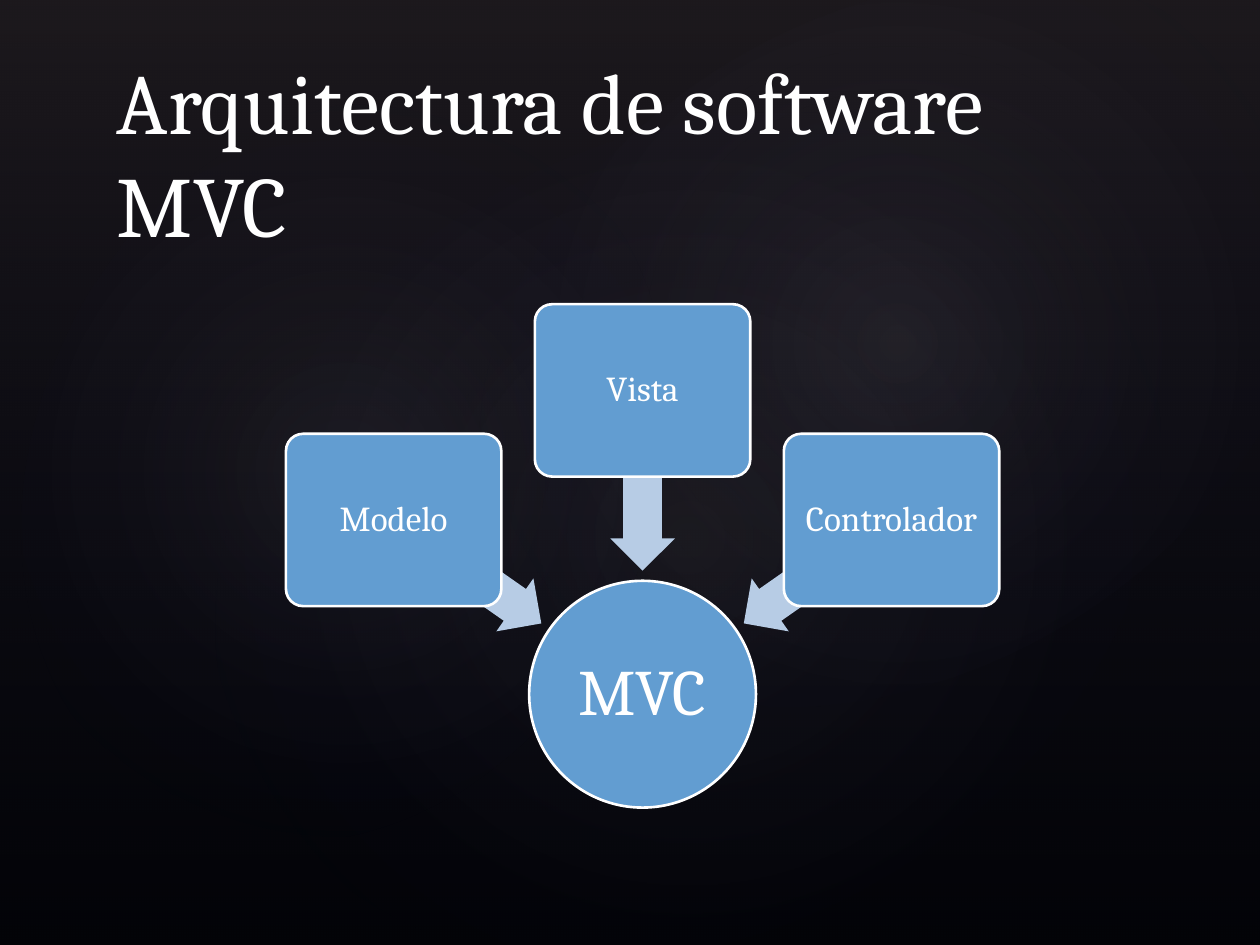
import math

from lxml import etree
from pptx import Presentation
from pptx.dml.color import RGBColor
from pptx.enum.shapes import MSO_SHAPE
from pptx.enum.text import MSO_ANCHOR, PP_ALIGN
from pptx.oxml import parse_xml
from pptx.oxml.ns import nsdecls, qn
from pptx.util import Inches, Pt

RECT, OVAL = MSO_SHAPE.RECTANGLE, MSO_SHAPE.OVAL
CARD, ARROW = MSO_SHAPE.ROUNDED_RECTANGLE, MSO_SHAPE.LEFT_ARROW
MIDDLE, BOTTOM, CENTER = MSO_ANCHOR.MIDDLE, MSO_ANCHOR.BOTTOM, PP_ALIGN.CENTER

SLIDE_W, SLIDE_H = 10, 7.5
FONT = "Cambria"
COLORS = {
    "base": "000000", "haze": "504652", "navy": "242852", "glow": "C4BCC6",
    "node": "629DD1", "arrow": "B7CCE5", "white": "FFFFFF",
}


def rgb(name):
    return RGBColor.from_string(COLORS[name])


def add_part(slide, kind, box, fill=None, outlined=False):
    part = slide.shapes.add_shape(kind, *(Inches(v) for v in box))
    part.shadow.inherit = False
    if fill:
        part.fill.solid()
        part.fill.fore_color.rgb = rgb(fill)
    else:
        part.fill.background()
    if outlined:
        part.line.color.rgb = rgb("white")
        part.line.width = Pt(1.5)
    else:
        part.line.fill.background()
    return part


def centered(cx, cy, width, height):
    return cx - width / 2, cy - height / 2, width, height


def set_gradient(part, stops, direction):
    """Stops are (position %, colour name, opacity %)."""
    grad = parse_xml(f'<a:gradFill {nsdecls("a")} rotWithShape="1"><a:gsLst/></a:gradFill>')
    for position, name, opacity in stops:
        stop = etree.SubElement(grad[0], qn("a:gs"), pos=str(position * 1000))
        color = etree.SubElement(stop, qn("a:srgbClr"), val=COLORS[name])
        etree.SubElement(color, qn("a:alpha"), val=str(opacity * 1000))
    grad.append(direction)
    sp_pr = part._element.spPr
    sp_pr.replace(sp_pr.find(qn("a:noFill")), grad)


def write(frame, text, size, anchor, align=None):
    frame.word_wrap = True
    frame.vertical_anchor = anchor
    paragraph = frame.paragraphs[0]
    paragraph.text = text
    paragraph.alignment = align
    paragraph.font.name = FONT
    paragraph.font.size = Pt(size)
    paragraph.font.color.rgb = rgb("white")
    return paragraph


def write_label(node, text, size, inset):
    frame = node.text_frame
    frame.margin_left = frame.margin_right = Inches(inset)
    frame.margin_top = frame.margin_bottom = Inches(inset)
    write(frame, text, size, MIDDLE, CENTER).line_spacing = 0.9


def draw_background(slide, box):
    left, top, width, height = box
    slide.background.fill.solid()
    slide.background.fill.fore_color.rgb = rgb("base")

    # Haze fading downwards
    haze = add_part(slide, RECT, box)
    set_gradient(haze, [(0, "haze", 36), (100, "navy", 10)],
                 parse_xml(f'<a:lin {nsdecls("a")} ang="5400000" scaled="0"/>'))

    # Soft glows: x, y, width, height as shares of the box, rotation, opacity
    for x, y, w, h, rotation, opacity in [
        (0.15, 0.152, 0.792, 0.832, 328.7, 7),
        (-0.03, 0.171, 0.606, 0.653, 294.3, 8),
        (0.358, 0.017, 0.709, 0.693, 328.7, 8),
    ]:
        glow = add_part(slide, OVAL, (left + x * width, top + y * height,
                                      w * width, h * height))
        glow.rotation = rotation
        set_gradient(glow, [(0, "glow", opacity), (58, "navy", 0)], parse_xml(
            f'<a:path {nsdecls("a")} path="circle">'
            '<a:fillToRect l="50000" t="50000" r="50000" b="50000"/></a:path>'))


def draw_title(slide, box, text):
    title = slide.shapes.add_textbox(*(Inches(v) for v in box))
    write(title.text_frame, text, 49, BOTTOM)


def draw_converging_diagram(slide, box, center_text, sources):
    left, top, width, height = box
    hub = 0.45 * height  # every other size is a share of the hub's diameter
    cx, cy = left + width / 2, top + height - hub / 2
    card_w, card_h = 0.95 * hub, 0.76 * hub

    def on_orbit(angle, radius, w, h):
        turn = math.radians(angle)
        return centered(cx + radius * math.cos(turn),
                        cy + radius * math.sin(turn), w, h)

    # Hub
    circle = add_part(slide, OVAL, centered(cx, cy, hub, hub), "node", True)
    write_label(circle, center_text, 37, 0.03)

    # Sources fanned out 55 degrees apart around the top of the hub
    for index, source in enumerate(sources):
        angle = 270 + 55 * (index - (len(sources) - 1) / 2)
        arrow = add_part(slide, ARROW, on_orbit(angle, 0.94 * hub, 0.79 * hub, 0.285 * hub),
                         "arrow")
        arrow.adjustments[0], arrow.adjustments[1] = 0.6, 0.5
        arrow.rotation = angle
        card = add_part(slide, CARD, on_orbit(angle, 1.34 * hub, card_w, card_h),
                        "node", True)
        card.adjustments[0] = 0.1
        write_label(card, source, 20, 0.04)


def main():
    deck = Presentation()
    deck.slide_width, deck.slide_height = Inches(SLIDE_W), Inches(SLIDE_H)
    slide = deck.slides.add_slide(deck.slide_layouts[6])
    draw_background(slide, (0, 0, SLIDE_W, SLIDE_H))
    draw_converging_diagram(slide, (2.27, 2.41, 5.66, 4), "MVC",
                            ["Modelo", "Vista", "Controlador"])
    draw_title(slide, (0.83, 1.07, 8.25, 1), "Arquitectura de software MVC")
    deck.save("out.pptx")


if __name__ == "__main__":
    main()
